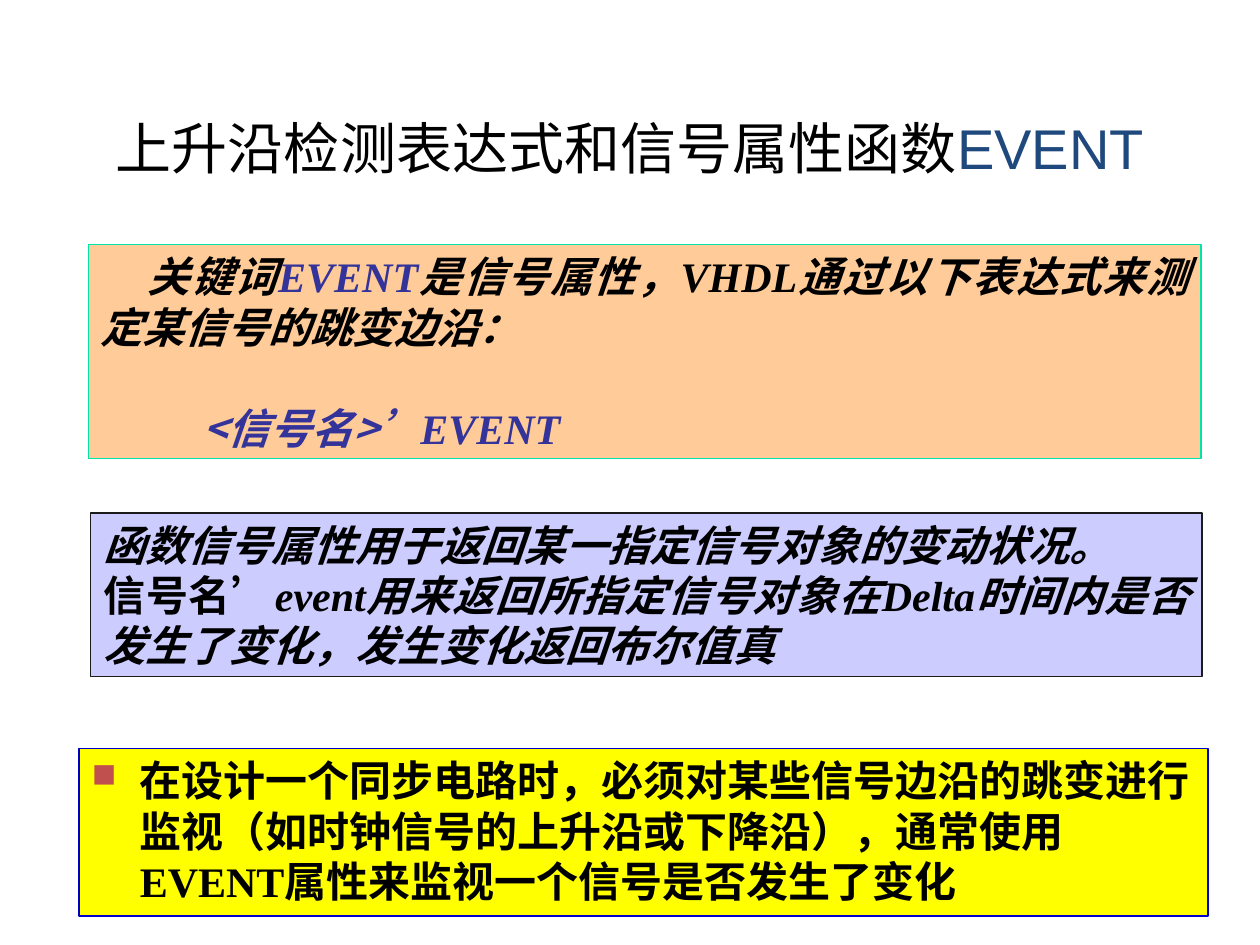
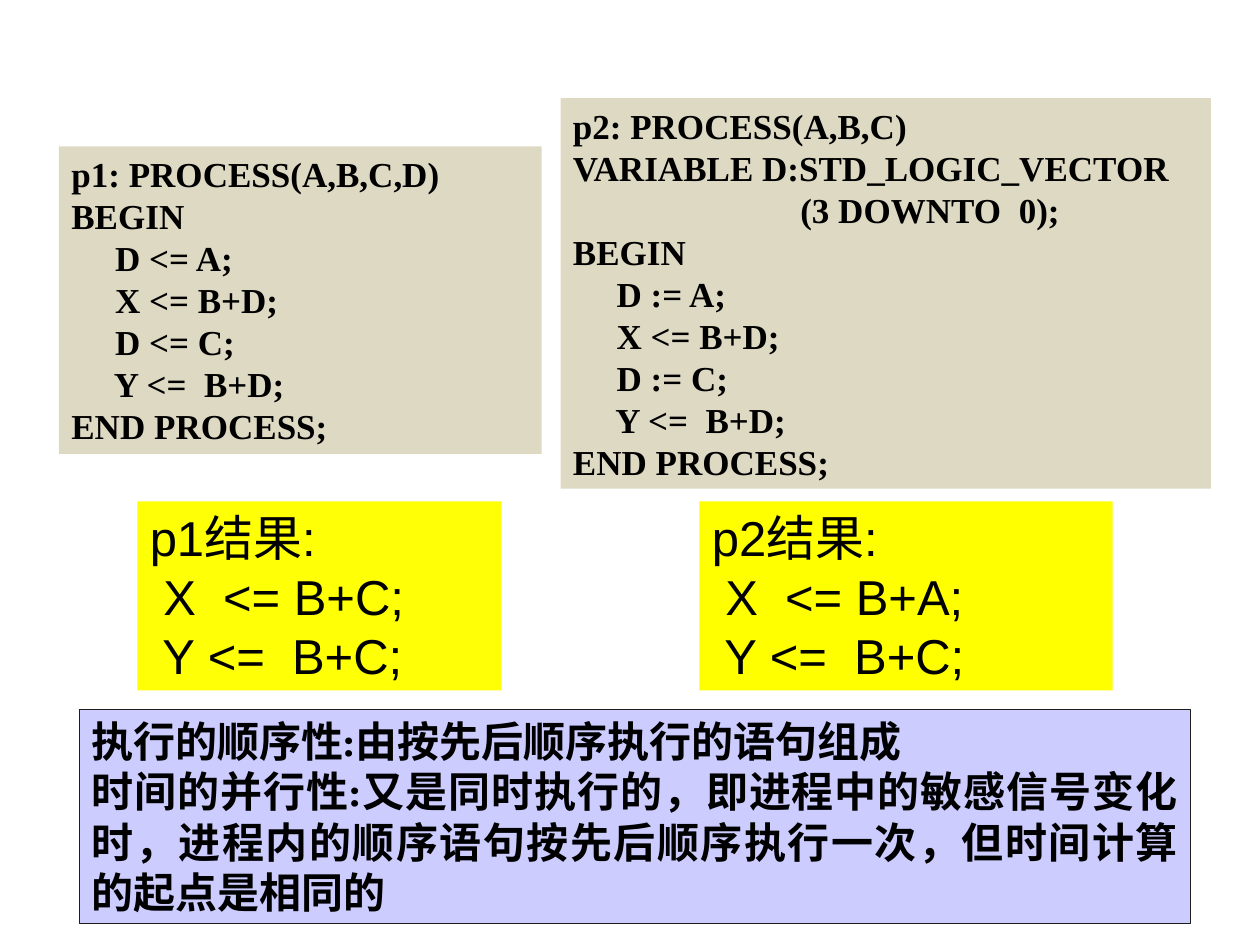
"""Build two slides about the EVENT attribute and sequential statements in VHDL."""
from dataclasses import dataclass
from typing import Optional

from lxml.etree import SubElement
from pptx import Presentation
from pptx.dml.color import RGBColor
from pptx.enum.shapes import MSO_SHAPE
from pptx.enum.text import MSO_ANCHOR, PP_ALIGN
from pptx.oxml.ns import qn
from pptx.util import Cm, Pt

CHINESE, SERIF, SANS, BODY = "Noto Sans CJK SC", "Times New Roman", "Arial", "Karla"
BLACK, NAVY, INDIGO = "000000", "1F497D", "333399"
ORANGE, LAVENDER, YELLOW, SAND = "FFCC99", "CCCCFF", "FFFF00", "DDD9C3"
TEAL, CHARCOAL, BLUE, RED = "00E4A8", "1C1C1C", "0000CC", "C0504D"


@dataclass(frozen=True)
class Style:
    font: str
    size: int
    bold: bool = False
    italic: bool = False
    align: PP_ALIGN = PP_ALIGN.LEFT


@dataclass(frozen=True)
class Phrase:
    text: str
    font: Optional[str] = None
    color: Optional[str] = None
    italic: Optional[bool] = None


@dataclass(frozen=True)
class Line:
    phrases: tuple[Phrase, ...]
    margin: float = 0
    indent: float = 0
    before: float = 0
    bullet: Optional[str] = None


@dataclass(frozen=True)
class Box:
    left: float
    top: float
    width: float
    height: float
    fill: str
    style: Style
    lines: tuple[Line, ...]
    border: Optional[str] = None
    border_width: float = 0.75
    opacity: int = 100


TITLE = Style(SANS, 32, align=PP_ALIGN.CENTER)
EMPHASIS = Style(CHINESE, 24, bold=True, italic=True, align=PP_ALIGN.JUSTIFY)
STATEMENT = Style(BODY, 24, bold=True, align=PP_ALIGN.JUSTIFY)
ADVICE = Style(CHINESE, 24, bold=True)
CODE = Style(SERIF, 20, bold=True)
RESULT = Style(SANS, 28)

TITLE_LINE = Line((Phrase("上升沿检测表达式和信号属性函数"), Phrase("EVENT", color=NAVY)))


def plain_lines(text: str) -> tuple[Line, ...]:
    return tuple(Line((Phrase(row),)) for row in text.splitlines())


EVENT_BOXES = (
    Box(1.78, 4.93, 22.43, 4.32, ORANGE, EMPHASIS, (
        Line((
            Phrase("关键词"),
            Phrase("EVENT", SERIF, INDIGO),
            Phrase("是信号属性，"),
            Phrase("VHDL", SERIF),
            Phrase("通过以下表达式来测定某信号的跳变边沿："),
        ), indent=0.95),
        Line((Phrase("<信号名>’", color=INDIGO), Phrase("EVENT", SERIF, INDIGO)),
             margin=2.06, before=29),
    ), TEAL),
    Box(1.83, 10.34, 22.4, 3.3, LAVENDER, EMPHASIS, (
        Line((Phrase("函数信号属性用于返回某一指定信号对象的变动状况。"),)),
        Line((
            Phrase("信号名’", SERIF, italic=False),
            Phrase("event", SERIF),
            Phrase("用来返回所指定信号对象在"),
            Phrase("Delta", SERIF),
            Phrase("时间内是否发生了变化，发生变化返回布尔值真"),
        )),
    ), CHARCOAL),
    Box(1.6, 15.09, 22.76, 3.38, YELLOW, ADVICE, (
        Line((
            Phrase("在设计一个同步电路时，必须对某些信号边沿的跳变进行监视"
                   "（如时钟信号的上升沿或下降沿），通常使用"),
            Phrase("EVENT", SERIF),
            Phrase("属性来监视一个信号是否发生了变化"),
        ), margin=0.97, indent=-0.97, bullet="■"),
    ), BLUE, 1),
)

SIGNAL_CODE = """p1: PROCESS(A,B,C,D)
BEGIN
     D <= A;
     X <= B+D;
     D <= C;
     Y <=  B+D;
END PROCESS;"""

VARIABLE_CODE = """p2: PROCESS(A,B,C)
VARIABLE D:STD_LOGIC_VECTOR
                          (3 DOWNTO  0);
BEGIN
     D := A;
     X <= B+D;
     D := C;
     Y <=  B+D;
END PROCESS;"""

SIGNAL_RESULT = """p1结果:
 X  <= B+C;
 Y <=  B+C;"""

VARIABLE_RESULT = """p2结果:
 X  <= B+A;
 Y <=  B+C;"""

CONCLUSION = """执行的顺序性:由按先后顺序执行的语句组成
时间的并行性:又是同时执行的，即进程中的敏感信号变化时，进程内的顺序语句按先后顺序执行一次，但时间计算的起点是相同的"""

PROCESS_BOXES = (
    Box(1.19, 2.95, 9.73, 6.2, SAND, CODE, plain_lines(SIGNAL_CODE)),
    Box(11.3, 1.98, 13.11, 7.87, SAND, CODE, plain_lines(VARIABLE_CODE)),
    Box(2.77, 10.11, 7.34, 3.81, YELLOW, RESULT, plain_lines(SIGNAL_RESULT), opacity=98),
    Box(14.1, 10.11, 8.33, 3.81, YELLOW, RESULT, plain_lines(VARIABLE_RESULT)),
    Box(1.6, 14.3, 22.4, 4.32, LAVENDER, STATEMENT, plain_lines(CONCLUSION), CHARCOAL),
)


def rgb(value: str) -> RGBColor:
    return RGBColor.from_string(value)


def add_bullet(properties, character: str) -> None:
    color = SubElement(properties, qn("a:buClr"))
    SubElement(color, qn("a:srgbClr"), val=RED)
    SubElement(properties, qn("a:buSzPct"), val="80000")
    SubElement(properties, qn("a:buChar"), char=character)


def write_line(paragraph, line: Line, style: Style) -> None:
    paragraph.alignment = style.align
    properties = paragraph._p.get_or_add_pPr()
    properties.set("marL", str(int(Cm(line.margin))))
    properties.set("indent", str(int(Cm(line.indent))))
    if line.bullet:
        add_bullet(properties, line.bullet)
    if line.before:
        paragraph.space_before = Pt(line.before)
    font = paragraph.font
    font.name, font.size = style.font, Pt(style.size)
    font.bold, font.italic = style.bold, style.italic
    font.color.rgb = rgb(BLACK)
    SubElement(font._rPr, qn("a:ea"), typeface=CHINESE)
    for phrase in line.phrases:
        run = paragraph.add_run()
        run.text = phrase.text
        if phrase.font:
            run.font.name = phrase.font
        if phrase.color:
            run.font.color.rgb = rgb(phrase.color)
        if phrase.italic is not None:
            run.font.italic = phrase.italic


def draw_box(slide, box: Box) -> None:
    shape = slide.shapes.add_shape(
        MSO_SHAPE.RECTANGLE, Cm(box.left), Cm(box.top), Cm(box.width), Cm(box.height))
    shape.shadow.inherit = False
    shape.fill.solid()
    shape.fill.fore_color.rgb = rgb(box.fill)
    if box.opacity < 100:
        color = shape._element.spPr.find(qn("a:solidFill")).find(qn("a:srgbClr"))
        SubElement(color, qn("a:alpha"), val=str(box.opacity * 1000))
    if box.border:
        shape.line.color.rgb = rgb(box.border)
        shape.line.width = Pt(box.border_width)
    else:
        shape.line.fill.background()
    frame = shape.text_frame
    frame.word_wrap = True
    frame.vertical_anchor = MSO_ANCHOR.TOP
    for index, line in enumerate(box.lines):
        paragraph = frame.add_paragraph() if index else frame.paragraphs[0]
        write_line(paragraph, line, box.style)


def draw_title(slide, line: Line) -> None:
    title = slide.shapes.title
    title.left, title.top, title.width, title.height = Cm(1.27), Cm(1.97), Cm(22.86), Cm(2)
    title.text_frame.vertical_anchor = MSO_ANCHOR.MIDDLE
    write_line(title.text_frame.paragraphs[0], line, TITLE)


def main() -> None:
    presentation = Presentation()
    presentation.slide_width, presentation.slide_height = Cm(25.4), Cm(19.05)
    title_only, blank = presentation.slide_layouts[5], presentation.slide_layouts[6]

    event_slide = presentation.slides.add_slide(title_only)
    draw_title(event_slide, TITLE_LINE)
    process_slide = presentation.slides.add_slide(blank)
    for slide, boxes in ((event_slide, EVENT_BOXES), (process_slide, PROCESS_BOXES)):
        for box in boxes:
            draw_box(slide, box)

    presentation.save("out.pptx")


if __name__ == "__main__":
    main()
